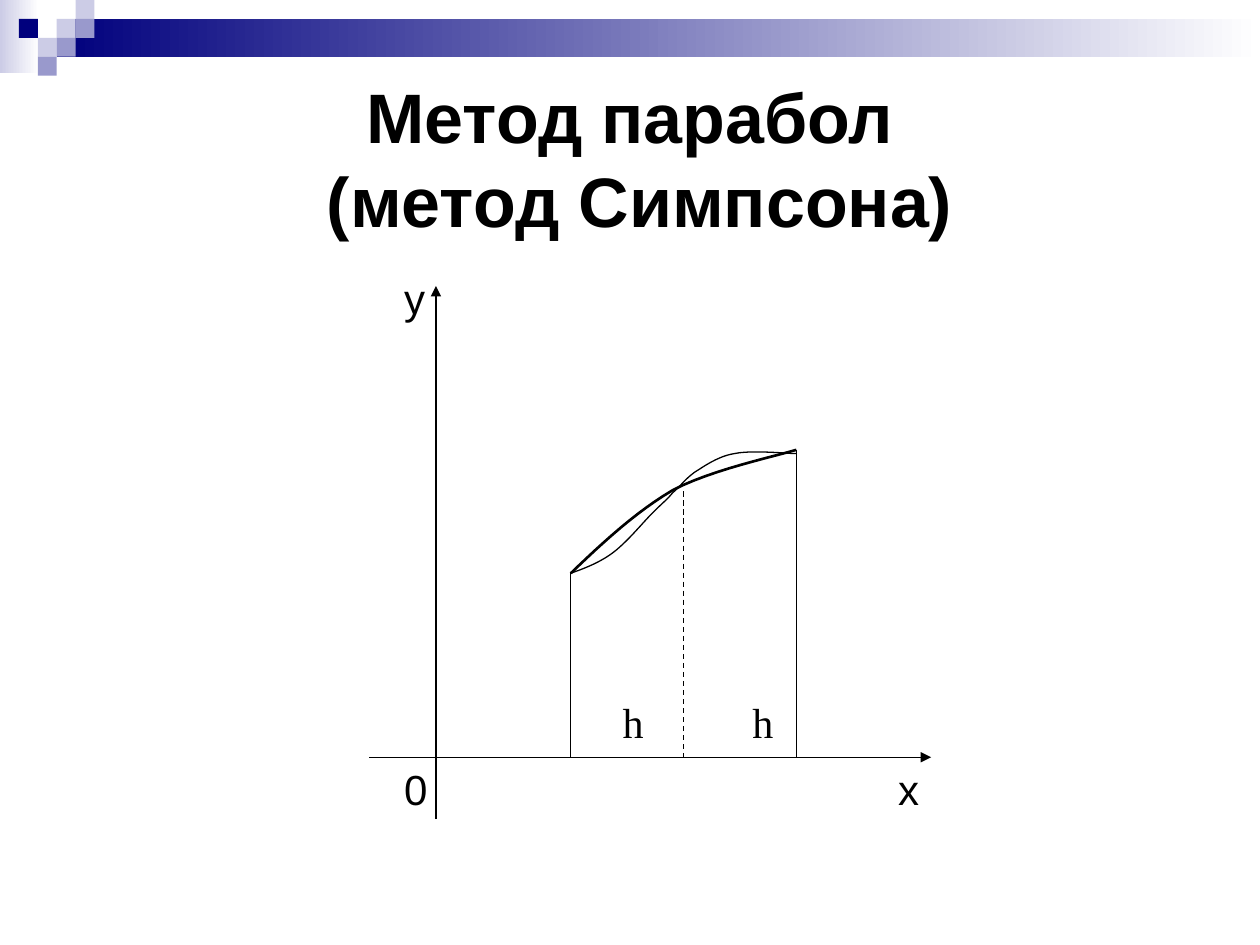
from pptx import Presentation
from pptx.dml.color import RGBColor
from pptx.enum.dml import MSO_LINE
from pptx.enum.shapes import MSO_CONNECTOR, MSO_SHAPE
from pptx.enum.text import MSO_ANCHOR, PP_ALIGN
from pptx.oxml.ns import qn
from pptx.util import Inches, Pt
from lxml import etree

RECT = MSO_SHAPE.RECTANGLE
LINE = MSO_CONNECTOR.STRAIGHT
DASH = MSO_LINE.DASH
LEFT, MID = PP_ALIGN.LEFT, PP_ALIGN.CENTER
TOP, HALF = MSO_ANCHOR.TOP, MSO_ANCHOR.MIDDLE
NAVY, LILAC, MAUVE = "00007D", "CCCCE6", "9999CC"
BLACK, WHITE = "000000", "FFFFFF"


def hue(code):
    return RGBColor.from_string(code)


def write(text, area, face, align=LEFT, anchor=TOP, wrap=True):
    box = slide.shapes.add_textbox(*map(Inches, area))
    frame = box.text_frame
    frame.word_wrap = wrap
    frame.vertical_anchor = anchor
    frame.text = text
    par = frame.paragraphs[0]
    par.alignment = align
    for key, value in face.items():
        setattr(par.font, key, value)
    par.font.color.rgb = hue(BLACK)


deck = Presentation()
deck.slide_width, deck.slide_height = Inches(10), Inches(7.5)
slide = deck.slides.add_slide(deck.slide_layouts[6])

# Header: two fading bands, then small tiles on a square grid
tile = 0.15
bands = [
    (0, 0, 0.31, 0.58, LILAC, WHITE),
    (3 * tile, tile, 10 - 3 * tile, 2 * tile, NAVY, WHITE),
]
tiles = [(3, 1, LILAC), (4, 0, LILAC), (4, 1, MAUVE), (2, 2, LILAC),
         (1, 1, NAVY), (3, 2, MAUVE), (2, 3, MAUVE)]
# The tile over the band's bright end is covered by the band's own colour
squares = [(col * tile, row * tile, tile, tile, tone, tone)
           for col, row, tone in tiles]
for *area, first, last in bands + squares:
    part = slide.shapes.add_shape(RECT, *map(Inches, area))
    part.shadow.inherit = False
    part.line.fill.background()
    if first == last:
        part.fill.solid()
        part.fill.fore_color.rgb = hue(first)
    else:
        part.fill.gradient()
        part.fill.gradient_angle = 0
        for stop, tone in zip(part.fill.gradient_stops, (first, last)):
            stop.color.rgb = hue(tone)

# Title
bold = {"name": "Arial", "size": Pt(40), "bold": True}
write("Метод парабол\v (метод Симпсона)", (0.5, 0.5, 9, 1.5),
      bold, MID, HALF)

# Axis names
sans = {"name": "Arial", "size": Pt(24)}
base = 6.01
for text, left, top in [("y", 3.11, 2.11), ("0", 3.11, base),
                        ("x", 7.03, base)]:
    write(text, (left, top, 0.53, 0.49), sans)

# Axes and the three ordinates, one step apart
start, step = 4.53, 0.895
mid, end = start + step, start + 2 * step
lines = [
    (2.93, base, 7.39, base, True, None),
    (3.46, 6.5, 3.46, 2.27, True, None),
    (start, 4.55, start, base, False, None),
    (end, 3.57, end, base, False, None),
    (mid, 3.9, mid, base, False, DASH),
]
for *ends, arrow, dash in lines:
    rule = slide.shapes.add_connector(LINE, *map(Inches, ends))
    rule.line.color.rgb = hue(BLACK)
    rule.line.width = Pt(0.75)
    if dash:
        rule.line.dash_style = dash
    props = rule._element.spPr
    if arrow:
        tip = etree.SubElement(props.find(qn("a:ln")), qn("a:tailEnd"))
        tip.set("type", "triangle")
    etree.SubElement(props, qn("a:effectLst"))

# Parabola (thick) and function (thin): chains of cubic arcs, sampled
curves = [
    (1.5, [(4.53, 4.55), (4.79, 4.3), (5.05, 4.06), (5.34, 3.89),
           (5.64, 3.73), (6.16, 3.62), (6.32, 3.57)]),
    (0.75, [(4.53, 4.55), (4.64, 4.51), (4.75, 4.47), (4.86, 4.39),
            (4.97, 4.31), (5.1, 4.15), (5.18, 4.07),
            (5.26, 3.99), (5.29, 3.97), (5.34, 3.91),
            (5.4, 3.86), (5.43, 3.81), (5.51, 3.75),
            (5.59, 3.7), (5.7, 3.62), (5.83, 3.6),
            (5.97, 3.57), (6.24, 3.6), (6.32, 3.6)]),
]
count = 12
for width, knots in curves:
    dots = []
    for i in range(0, len(knots) - 1, 3):
        for n in range(1, count + 1):
            t = n / count
            u = 1 - t
            shares = (u**3, 3 * u * u * t, 3 * u * t * t, t**3)
            dots.append([Inches(sum(s * k[axis] for s, k
                                    in zip(shares, knots[i:i + 4])))
                         for axis in (0, 1)])
    pen = slide.shapes.build_freeform(*map(Inches, knots[0]))
    pen.add_line_segments(dots, close=False)
    curve = pen.convert_to_shape()
    curve.shadow.inherit = False
    curve.fill.background()
    curve.line.color.rgb = hue(BLACK)
    curve.line.width = Pt(width)

# Step names
serif = {"name": "Times New Roman", "size": Pt(24)}
for left in (4.84, 5.87):
    write("h", (left, 5.48, 0.37, 0.5), serif, MID, wrap=False)

deck.save("out.pptx")
